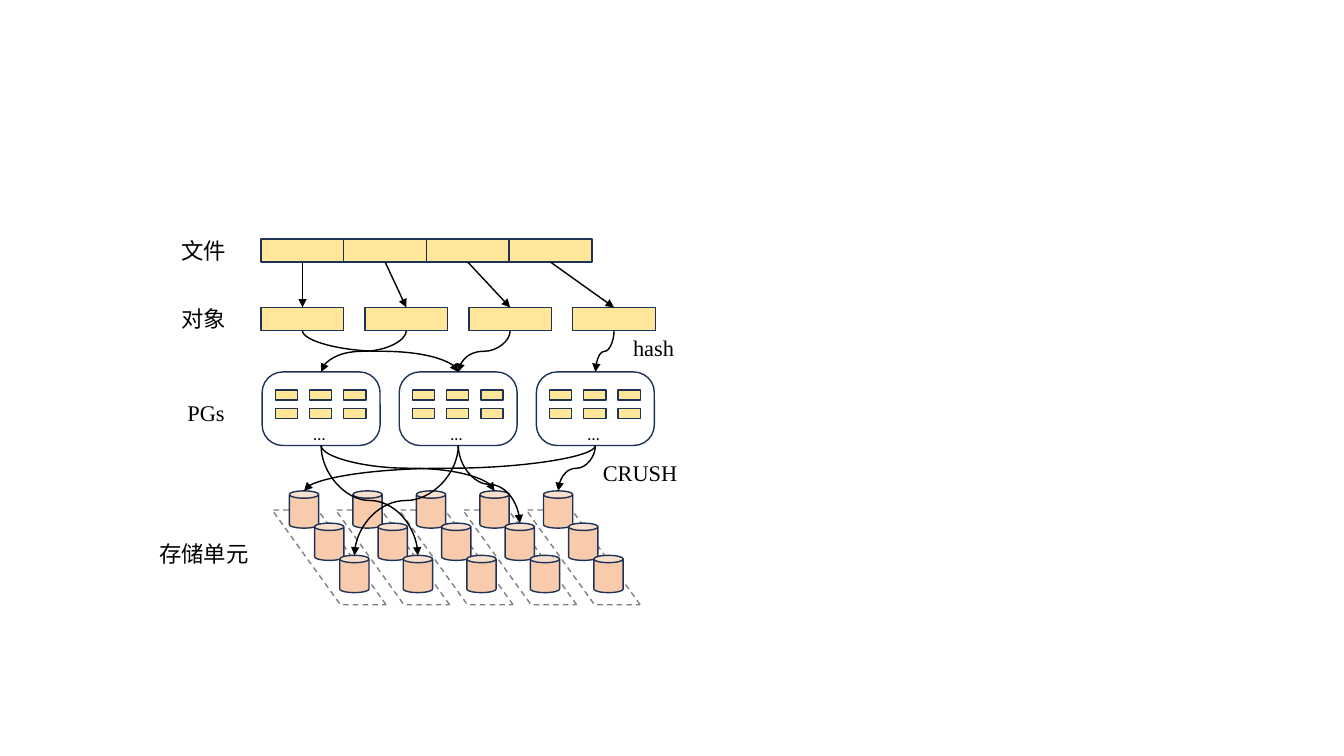
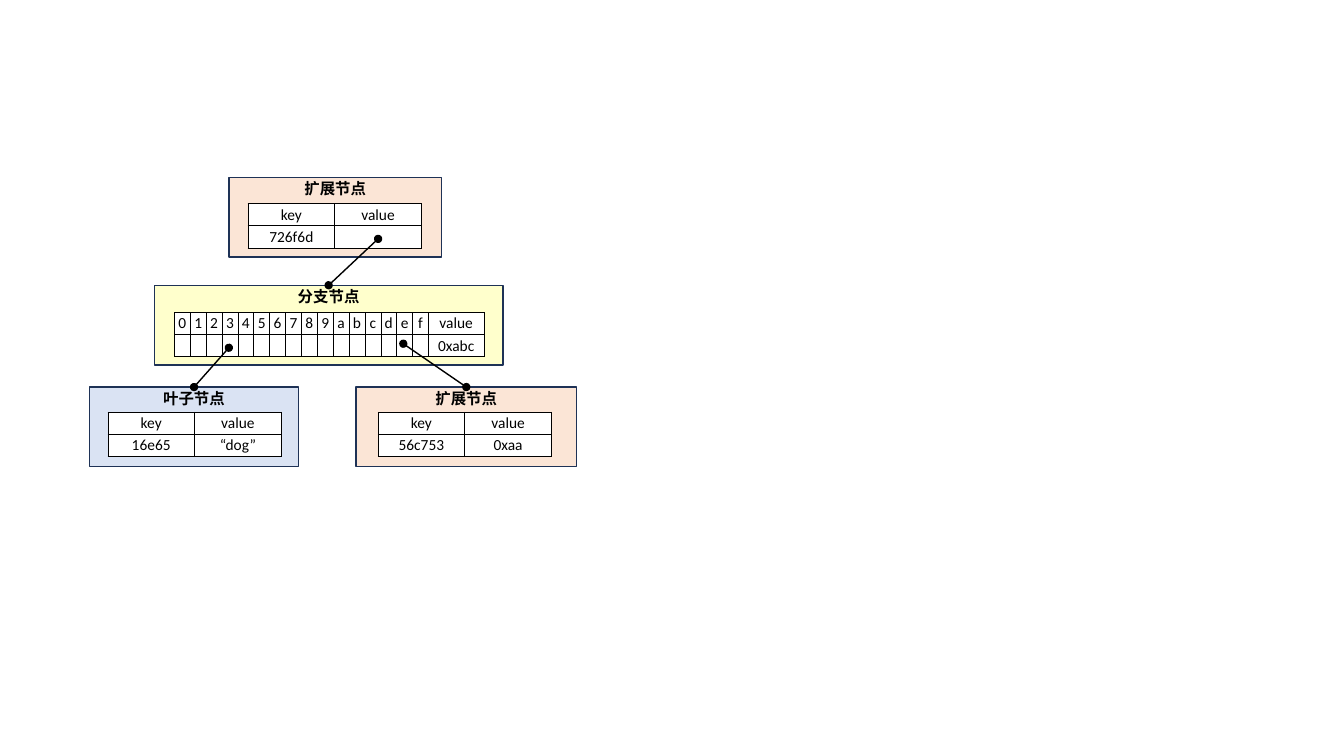
from lxml.etree import SubElement
from pptx import Presentation
from pptx.dml.color import RGBColor
from pptx.enum.dml import MSO_LINE
from pptx.enum.shapes import MSO_CONNECTOR, MSO_SHAPE
from pptx.enum.text import MSO_ANCHOR, PP_ALIGN
from pptx.oxml import parse_xml
from pptx.oxml.ns import nsdecls, qn
from pptx.util import Pt

PX = 9144  # 100 px to the inch
HUE = {"ink": "000000", "edge": "1E3256", "gray": "808080", "white": "FFFFFF",
       "gold": "FFE699", "peach": "F8CBAD", "rose": "FBE5D6",
       "blue": "DAE3F3", "lemon": "FFFFCC"}
CJK, SERIF, SANS = "Noto Sans CJK SC", "Times New Roman", "Calibri"


def box(page, kind, x, y, w, h, fill=None, edge="edge"):
    shape = page.shapes.add_shape(kind, x * PX, y * PX, w * PX, h * PX)
    shape.shadow.inherit = False
    if fill:
        shape.fill.solid()
        shape.fill.fore_color.rgb = RGBColor.from_string(HUE[fill])
    else:
        shape.fill.background()
    shape.line.color.rgb = RGBColor.from_string(HUE[edge])
    shape.line.width = Pt(1)
    return shape


def put(frame, text, face, size):
    frame.text = text
    para = frame.paragraphs[0]
    para.font.name = face
    para.font.size = Pt(size)
    para.font.color.rgb = RGBColor.from_string(HUE["ink"])
    base = para._p.get_or_add_pPr().find(qn("a:defRPr"))
    SubElement(base, qn("a:ea")).set("typeface", face)
    if not text:
        SubElement(para._p, qn("a:endParaRPr")).set("sz", str(size * 100))
    return para


deck = Presentation()
deck.slide_width, deck.slide_height = 1333 * PX, 750 * PX
store, tree = [deck.slides.add_slide(deck.slide_layouts[6]) for _ in range(2)]

# Slide 1: file parts and objects
files = [box(store, MSO_SHAPE.RECTANGLE, 259 + 82 * i, 237, 82, 23, "gold") for i in range(4)]
items = [box(store, MSO_SHAPE.RECTANGLE, 259 + 103 * i, 305, 82, 23, "gold") for i in range(4)]

# Placement groups
groups = []
for i in range(3):
    left = 260 + 136 * i
    group = box(store, MSO_SHAPE.ROUNDED_RECTANGLE, left, 369, 117, 73)
    group.adjustments[0] = 0.28
    groups.append(group)
    for row in range(2):
        for col in range(3):
            box(store, MSO_SHAPE.RECTANGLE, left + 13 + 34 * col, 387 + 18 * row, 22, 10, "gold")
    area = store.shapes.add_textbox((left + 41) * PX, 405 * PX, 34 * PX, 37 * PX)
    area.text_frame.word_wrap = False
    dots = put(area.text_frame, "...", SANS, 12)
    dots.font.italic = True
    dots.line_spacing = 1.5

# Storage units: five racks of three
cans = []
for i in range(5):
    left = 270 + 63 * i
    rack = box(store, MSO_SHAPE.PARALLELOGRAM, left, 506, 113, 94, "white", "gray")
    rack.adjustments[0] = 0.72
    rack.line.dash_style = MSO_LINE.DASH
    rack._element.spPr.find(qn("a:xfrm")).set("flipH", "1")
    cans.append([box(store, MSO_SHAPE.CAN, left + 17 + 25 * j, 487 + 32 * j, 29, 37, "peach")
                 for j in range(3)])

# Curves leave a bottom side and enter a top side
pairs = [(items[0], groups[1]), (items[1], groups[0]),
         (items[2], groups[1]), (items[3], groups[2]),
         (groups[2], cans[0][0]), (groups[2], cans[4][0]),
         (groups[1], cans[3][1]), (groups[1], cans[0][2]),
         (groups[0], cans[3][0]), (groups[0], cans[1][2])]
for src, dst in pairs:
    x1, y1 = src.left + src.width // 2, src.top + src.height
    x2, y2 = dst.left + dst.width // 2, dst.top
    midx, midy = (x1 + x2) // 2, (y1 + y2) // 2
    halfx, halfy = abs(x2 - x1) // 2, (y2 - y1) // 2
    curve = store.shapes.add_connector(MSO_CONNECTOR.CURVE, midx - halfy, midy - halfx,
                                       midx + halfy, midy + halfx)
    frame = curve._element.spPr.find(qn("a:xfrm"))
    frame.set("rot", "16200000" if x2 > x1 else "5400000")
    if x2 > x1:
        frame.set("flipH", "1")

for src, dst in zip(files, items):
    line = store.shapes.add_connector(MSO_CONNECTOR.STRAIGHT, 0, 0, 0, 0)
    line.begin_connect(src, 2)
    line.end_connect(dst, 0)

# Labels
for text, x, y, w, face in [
        ("文件", 170, 230, 65, CJK), ("对象", 170, 298, 65, CJK),
        ("PGs", 176, 391, 58, SERIF), ("存储单元", 148, 531, 110, CJK),
        ("CRUSH", 588, 451, 95, SERIF), ("hash", 618, 327, 61, SERIF)]:
    area = store.shapes.add_textbox(x * PX, y * PX, w * PX, 37 * PX)
    area.text_frame.word_wrap = False
    put(area.text_frame, text, face, 16)

# Slide 2: nodes, each with a two-row table
pair, slots = [86 * PX] * 2, [252 * PX // 16] * 16 + [55 * PX]
head = ["key", "value"]
nodes = []
for name, fill, x, y, w, inx, iny, cols, rows in [
        ("扩展节点", "rose", 227, 176, 211, 246, 202, pair, [head, ["726f6d", ""]]),
        ("分支节点", "lemon", 153, 283, 346, 173, 310, slots,
         [[*"0123456789abcdef", "value"], [""] * 16 + ["0xabc"]]),
        ("叶子节点", "blue", 89, 384, 207, 107, 409, pair, [head, ["16e65", "“dog”"]]),
        ("扩展节点", "rose", 353, 384, 219, 375, 409, pair, [head, ["56c753", "0xaa"]])]:
    node = box(tree, MSO_SHAPE.RECTANGLE, x, y, w, 79, fill)
    nodes.append(node)
    node.text_frame.vertical_anchor = MSO_ANCHOR.TOP
    node.text_frame.margin_top = 2 * PX
    title = put(node.text_frame, name, CJK, 11)
    title.font.bold = True
    title.alignment = PP_ALIGN.CENTER

    table = tree.shapes.add_table(2, len(cols), inx * PX, iny * PX, sum(cols), 44 * PX).table
    table.first_row = table.horz_banding = False
    for col, wide in zip(table.columns, cols):
        col.width = wide
    for r, row in enumerate(rows):
        table.rows[r].height = 22 * PX
        for c, text in enumerate(row):
            cell = table.cell(r, c)
            cell.margin_left = cell.margin_right = cell.margin_top = cell.margin_bottom = 0
            cell.vertical_anchor = MSO_ANCHOR.MIDDLE
            put(cell.text_frame, text, SANS, 11).alignment = PP_ALIGN.CENTER
            cell.fill.solid()
            cell.fill.fore_color.rgb = RGBColor.from_string(HUE["white"])
            for k, side in enumerate("LRTB"):
                cell._tc.tcPr.insert(k, parse_xml(
                    f'<a:ln{side} {nsdecls("a")} w="6350"><a:solidFill>'
                    f'<a:srgbClr val="{HUE["ink"]}"/></a:solidFill></a:ln{side}>'))

# Pointers from table slots to child nodes
for x, y, child in [(375, 237, 1), (227, 345, 2), (400, 341, 3)]:
    line = tree.shapes.add_connector(MSO_CONNECTOR.STRAIGHT, x * PX, y * PX, x * PX, y * PX)
    line.end_connect(nodes[child], 0)

# Line style and line ends
for page, ends in [(store, {"tailEnd": "triangle"}),
                   (tree, {"headEnd": "oval", "tailEnd": "oval"})]:
    for line in page.shapes:
        if line._element.tag != qn("p:cxnSp"):
            continue
        line.line.color.rgb = RGBColor.from_string(HUE["ink"])
        line.line.width = Pt(1)
        for end, kind in ends.items():
            SubElement(line.line._get_or_add_ln(), qn("a:" + end)).set("type", kind)
        SubElement(line._element.spPr, qn("a:effectLst"))

deck.save("out.pptx")
